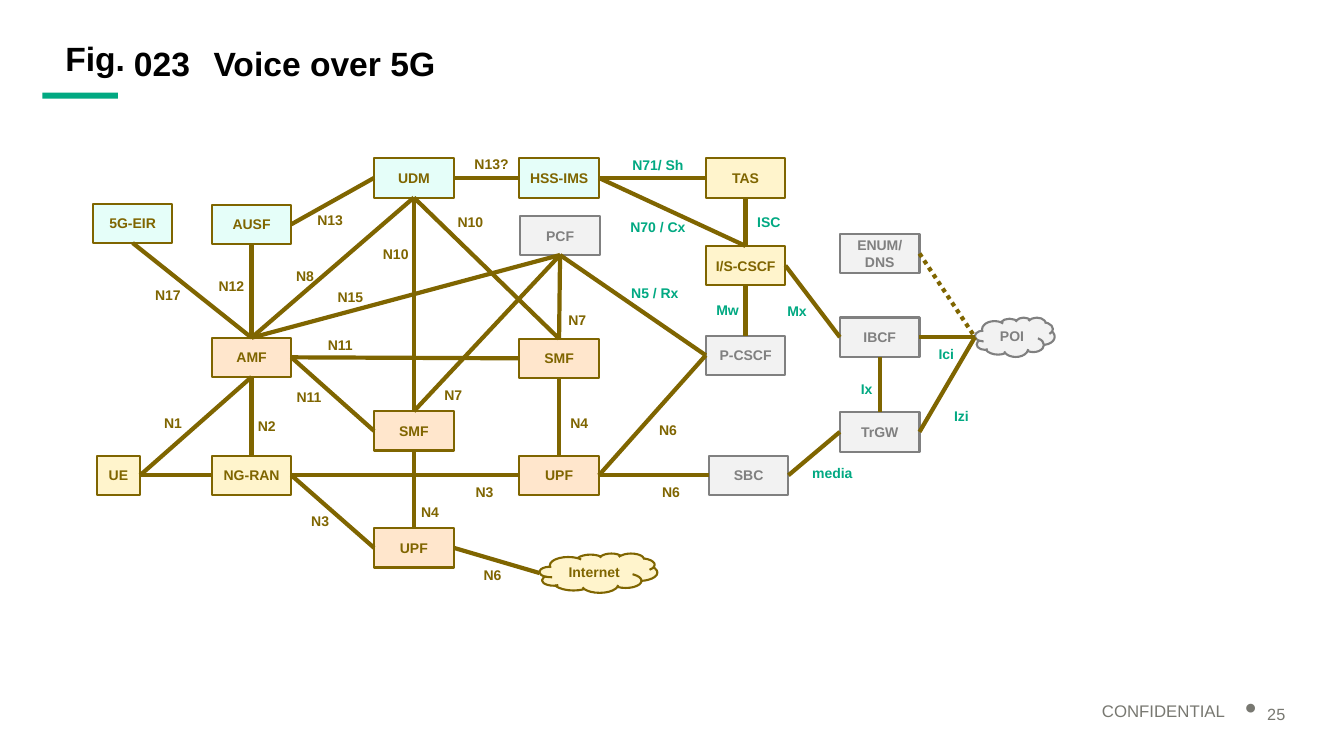
from lxml import etree
from pptx import Presentation
from pptx.dml.color import RGBColor
from pptx.enum.dml import MSO_LINE
from pptx.enum.shapes import MSO_CONNECTOR, MSO_SHAPE
from pptx.enum.text import MSO_ANCHOR, PP_ALIGN
from pptx.oxml.ns import qn
from pptx.util import Pt

RECT, CLOUD = MSO_SHAPE.RECTANGLE, MSO_SHAPE.CLOUD
STRAIGHT, DOTTED = MSO_CONNECTOR.STRAIGHT, MSO_LINE.ROUND_DOT
TOP, MIDDLE = MSO_ANCHOR.TOP, MSO_ANCHOR.MIDDLE
LEFT, CENTER, RIGHT = PP_ALIGN.LEFT, PP_ALIGN.CENTER, PP_ALIGN.RIGHT
N, W, S, E = range(4)  # connection sites

PX = 9144  # 100 px to the inch
BOX_W, BOX_H = 79, 39
COLORS = {
    "black": "000000", "footer": "787871", "green": "01A982",
    "brown": "7F6500", "gray": "808080", "cream": "FFF4CC",
    "peach": "FFE6CC", "mint": "E5FEF9", "silver": "F2F2F2",
}


def rgb(name):
    return RGBColor.from_string(COLORS[name])


def write(sp, text, size, color, bold=True, align=CENTER, anchor=MIDDLE, spacing=None):
    """Fill a shape with text, one paragraph per line."""
    tf = sp.text_frame
    tf.word_wrap, tf.vertical_anchor = True, anchor
    tf.text = text
    for p in tf.paragraphs:
        p.alignment, p.line_spacing = align, spacing
        for r in p.runs:
            for key, value in {"name": "Arial", "size": Pt(size), "bold": bold}.items():
                setattr(r.font, key, value)
            r.font.color.rgb = rgb(color)
    return tf


prs = Presentation()
prs.slide_width, prs.slide_height = 1333 * PX, 750 * PX
s = prs.slides.add_slide(prs.slide_layouts[6])

# Heading and footer
bar = s.shapes.add_shape(RECT, 42 * PX, 92 * PX, 75 * PX, 6 * PX)
bar.shadow.inherit = False
bar.fill.solid()
bar.fill.fore_color.rgb = rgb("green")
bar.line.fill.background()

frames = {}
for text, x, y, w, h, size, color, bold, align, anchor in [
    ("Fig.", 45, 42, 79, 47, 24, "black", True, RIGHT, TOP),
    ("023", 123, 42, 79, 47, 24, "black", True, LEFT, TOP),
    ("Voice over 5G", 202, 42, 1090, 47, 24, "black", True, LEFT, TOP),
    ("CONFIDENTIAL", 775, 693, 450, 24, 12, "footer", False, RIGHT, TOP),
    ("25", 1225, 689, 75, 40, 20, "footer", False, LEFT, MIDDLE),
]:
    sp = s.shapes.add_textbox(x * PX, y * PX, w * PX, h * PX)
    frames[text] = write(sp, text, size, color, bold, align, anchor, 0.9)

for side in ("left", "top", "right", "bottom"):
    setattr(frames["Fig."], f"margin_{side}", 0)

number = frames["25"].paragraphs[0]
pPr = number._p.get_or_add_pPr()
pPr.set("marL", str(22 * PX))
pPr.set("indent", str(-22 * PX))
etree.SubElement(pPr, qn("a:buSzPct")).set("val", "120000")
etree.SubElement(pPr, qn("a:buChar")).set("char", "•")
number.runs[0]._r.get_or_add_rPr().set("baseline", "10000")

# Network functions: key -> text, left, top, width, fill
nodes = {
    "ue": ("UE", 96, 452, 43, "cream"),
    "ran": ("NG-RAN", 210, 452, BOX_W, "cream"),
    "amf": ("AMF", 210, 335, BOX_W, "peach"),
    "upf1": ("UPF", 515, 452, BOX_W, "peach"),
    "smf1": ("SMF", 515, 336, BOX_W, "peach"),
    "upf2": ("UPF", 371, 524, BOX_W, "peach"),
    "smf2": ("SMF", 371, 408, BOX_W, "peach"),
    "eir": ("5G-EIR", 92, 202, BOX_W, "mint"),
    "ausf": ("AUSF", 210, 203, BOX_W, "mint"),
    "udm": ("UDM", 371, 157, BOX_W, "mint"),
    "hss": ("HSS-IMS", 515, 157, BOX_W, "mint"),
    "pcf": ("PCF", 516, 214, BOX_W, "silver"),
    "tas": ("TAS", 700, 157, BOX_W, "cream"),
    "iscscf": ("I/S-CSCF", 700, 244, BOX_W, "cream"),
    "pcscf": ("P-CSCF", 700, 333, BOX_W, "silver"),
    "sbc": ("SBC", 703, 452, BOX_W, "silver"),
    "enum": ("ENUM/\nDNS", 833, 232, BOX_W, "silver"),
    "ibcf": ("IBCF", 833, 315, BOX_W, "silver"),
    "trgw": ("TrGW", 833, 409, BOX_W, "silver"),
    "poi": ("POI", 967, 315, BOX_W, "silver"),
    "net": ("Internet", 535, 549, 117, "cream"),
}
clouds = ("poi", "net")
shapes = {}
for key, (text, x, y, w, fill) in nodes.items():
    kind = CLOUD if key in clouds else RECT
    ink = "gray" if fill == "silver" else "brown"
    sp = shapes[key] = s.shapes.add_shape(kind, x * PX, y * PX, w * PX, BOX_H * PX)
    sp.shadow.inherit = False
    sp.fill.solid()
    sp.fill.fore_color.rgb = rgb(fill)
    sp.line.color.rgb = rgb(ink)
    sp.line.width = Pt(1.5)
    write(sp, text, 10, ink)

# Links; the ones to a cloud end at the middle of its left side
for start, start_site, end, end_site in [
    ("ue", E, "ran", W), ("amf", S, "ran", N), ("ue", E, "amf", S),
    ("ran", E, "upf1", W), ("upf1", E, "pcscf", W), ("smf1", S, "upf1", N),
    ("udm", S, "smf1", N), ("pcf", S, "smf1", N), ("amf", N, "ausf", S),
    ("ausf", E, "udm", W), ("amf", N, "pcf", S), ("amf", E, "smf1", W),
    ("amf", N, "udm", S), ("upf2", E, "net", W), ("smf2", S, "upf2", N),
    ("ran", E, "upf2", W), ("amf", E, "smf2", W), ("pcf", S, "smf2", N),
    ("udm", S, "smf2", N), ("pcf", S, "pcscf", W), ("hss", E, "iscscf", N),
    ("iscscf", S, "pcscf", N), ("hss", E, "tas", W), ("udm", E, "hss", W),
    ("upf1", E, "sbc", W), ("tas", S, "iscscf", N), ("trgw", E, "poi", W),
    ("ibcf", E, "poi", W), ("enum", E, "poi", W), ("iscscf", E, "ibcf", W),
    ("sbc", E, "trgw", W), ("ibcf", S, "trgw", N), ("eir", S, "amf", N),
]:
    target = shapes[end]
    line = s.shapes.add_connector(
        STRAIGHT, 0, 0, target.left, target.top + target.height // 2)
    line.begin_connect(shapes[start], start_site)
    if end not in clouds:
        line.end_connect(target, end_site)
    line.line.color.rgb = rgb("brown")
    line.line.width = Pt(3)
    if start == "enum":
        line.line.dash_style = DOTTED
    etree.SubElement(line._element.spPr, qn("a:effectLst"))

# Names of the reference points
labels = {
    "brown": [
        ("N1", 132, 400), ("N2", 225, 403), ("N3", 441, 468), ("N4", 535, 400),
        ("N6", 626, 468), ("N10", 427, 201), ("N15", 308, 275), ("N7", 533, 298),
        ("N12", 190, 264), ("N11", 298, 323), ("N13", 288, 199), ("N8", 263, 254),
        ("N4", 387, 488), ("N6", 449, 551), ("N3", 278, 497), ("N11", 267, 374),
        ("N7", 410, 372), ("N10", 353, 232), ("N13?", 448, 143), ("N6", 623, 407),
        ("N17", 127, 273),
    ],
    "green": [
        ("N5 / Rx", 610, 271), ("N71/ Sh", 613, 144), ("N70 / Cx", 613, 206),
        ("ISC", 723, 201), ("Mw", 682, 288), ("Mx", 751, 289), ("Izi", 914, 393),
        ("Ici", 899, 332), ("Ix", 820, 366), ("media", 786, 450),
    ],
}
for color, items in labels.items():
    for text, x, y in items:
        sp = s.shapes.add_textbox(x * PX, y * PX, BOX_W * PX, BOX_H * PX)
        write(sp, text, 10, color)

prs.save("out.pptx")
